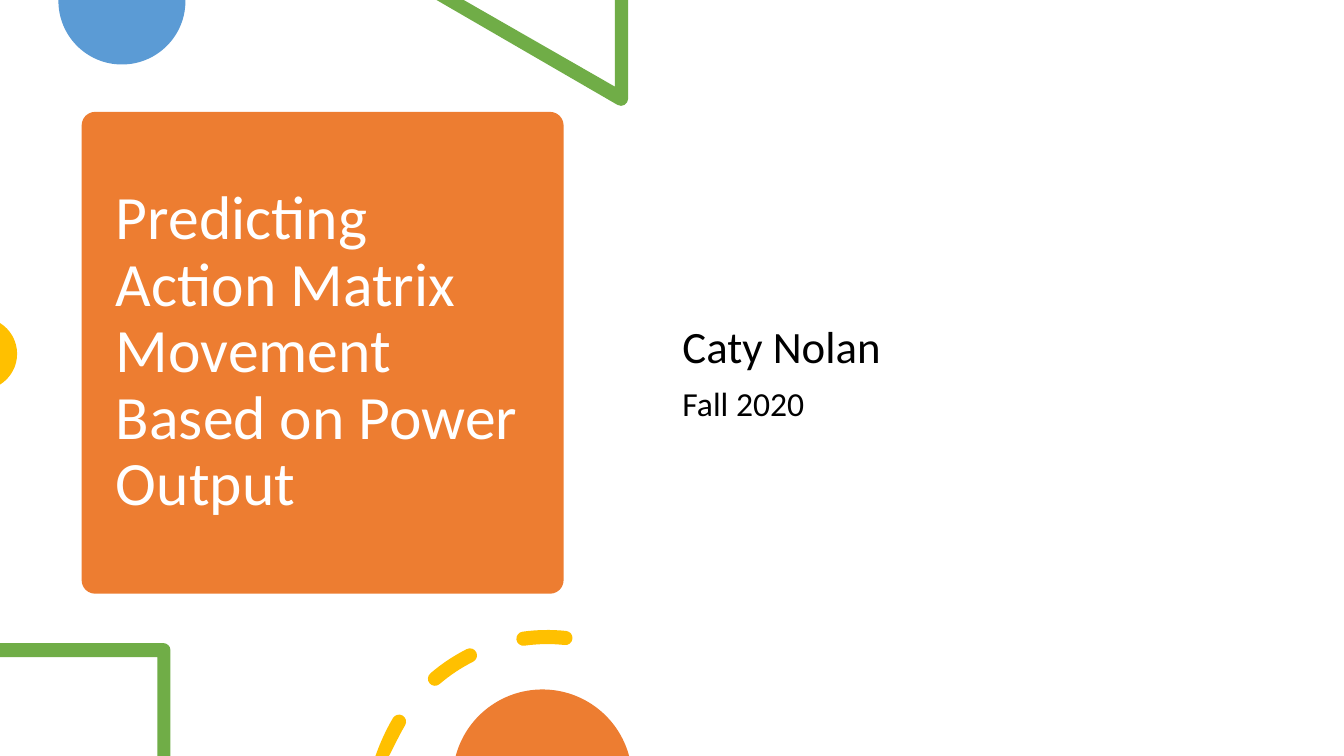
from dataclasses import dataclass
from math import acos, ceil, cos, degrees, radians, sin, tan

from lxml.etree import SubElement
from pptx import Presentation
from pptx.dml.color import RGBColor
from pptx.enum.shapes import MSO_SHAPE as Shape
from pptx.enum.text import MSO_ANCHOR as Anchor, MSO_AUTO_SIZE as AutoSize, PP_ALIGN as Align
from pptx.oxml.ns import qn
from pptx.util import Inches, Pt

WIDTH, HEIGHT = 13.33, 7.5
RIGHT, DOWN, UP = 0, 90, -90


@dataclass(frozen=True)
class Theme:
    font: str = "Calibri"
    orange: str = "ED7D31"
    blue: str = "5B9BD5"
    green: str = "70AD47"
    yellow: str = "FFC000"
    white: str = "FFFFFF"
    black: str = "000000"
    title_size: int = 44
    author_size: int = 32
    term_size: int = 24
    line_spacing: float = 0.9


def corners(*points):
    return [(x, y, False) for x, y in points]


def polar(center, radius, angle):
    return center[0] + radius * cos(radians(angle)), center[1] + radius * sin(radians(angle))


def arc(center, radius, start, end):
    pieces = max(1, ceil(round(abs(end - start) / 90, 1)))
    step = (end - start) / pieces
    reach = radius * 4 / 3 * tan(radians(step) / 4)
    points = corners(polar(center, radius, start))
    for i in range(pieces):
        first, last = start + step * i, start + step * (i + 1)
        leaving = polar(polar(center, radius, first), reach, first + 90)
        arriving = polar(polar(center, radius, last), -reach, last + 90)
        points += [(x, y, True) for x, y in (leaving, arriving, polar(center, radius, last))]
    return points


def cut_disc(center, radius, facing, edge_distance):
    half = degrees(acos(edge_distance / radius))
    return arc(center, radius, facing - half, facing + half)


def dash(center, radius, thickness, start, end):
    half = thickness / 2
    contour = arc(center, radius + half, start, end)
    contour += arc(polar(center, radius, end), half, end, end + 180)[1:]
    contour += arc(center, radius - half, end, start)[1:]
    contour += arc(polar(center, radius, start), half, start + 180, start + 360)[1:]
    return [(x, min(y, HEIGHT), curved) for x, y, curved in contour]


class SlideBuilder:
    def __init__(self, slide, theme):
        self.slide = slide
        self.theme = theme

    def paint(self, shape, color):
        shape.fill.solid()
        shape.fill.fore_color.rgb = RGBColor.from_string(color)
        shape.line.fill.background()
        shape.shadow.inherit = False

    def card(self, left, top, side, color, rounding):
        card = self.slide.shapes.add_shape(
            Shape.ROUNDED_RECTANGLE, *map(Inches, (left, top, side, side)))
        card.adjustments[0] = rounding
        self.paint(card, color)

    def outline(self, color, *contours):
        scaled = [[(Inches(x), Inches(y)) for x, y, curved in contour] for contour in contours]
        builder = self.slide.shapes.build_freeform(*scaled[0][0], scale=1.0)
        builder.add_line_segments(scaled[0][1:], close=True)
        for contour in scaled[1:]:
            builder.move_to(*contour[0])
            builder.add_line_segments(contour[1:], close=True)
        shape = builder.convert_to_shape()
        self.bend(shape, [curved for contour in contours for x, y, curved in contour[1:]])
        self.paint(shape, color)

    def bend(self, shape, curved_flags):
        segments = list(shape.element.iter(qn("a:lnTo")))
        curved = [segment for segment, flag in zip(segments, curved_flags) if flag]
        for triple in zip(curved[::3], curved[1::3], curved[2::3]):
            parent = triple[0].getparent()
            curve = SubElement(parent, qn("a:cubicBezTo"))
            parent.replace(triple[0], curve)
            for segment in triple:
                curve.append(segment[0])
            for segment in triple[1:]:
                parent.remove(segment)

    def run(self, paragraph, text, size, color):
        run = paragraph.add_run()
        run.text = text
        run.font.name = self.theme.font
        run.font.size = Pt(size)
        run.font.color.rgb = RGBColor.from_string(color)

    def paragraph(self, paragraph, space_before=0):
        paragraph.alignment = Align.LEFT
        paragraph.line_spacing = self.theme.line_spacing
        paragraph.space_before = Pt(space_before)
        return paragraph

    def frame(self, shape, anchor):
        frame = shape.text_frame
        frame.word_wrap = True
        frame.auto_size = AutoSize.NONE
        frame.vertical_anchor = anchor
        return frame

    def title(self, left, top, width, height, lines):
        title = self.slide.shapes.title
        title.left, title.top, title.width, title.height = map(
            Inches, (left, top, width, height))
        title.element.getparent().append(title.element)
        paragraph = self.paragraph(self.frame(title, Anchor.MIDDLE).paragraphs[0])
        for number, line in enumerate(lines):
            if number:
                paragraph.add_line_break()
            self.run(paragraph, line, self.theme.title_size, self.theme.white)

    def text(self, left, top, width, height, lines, gap, inset):
        box = self.slide.shapes.add_textbox(*map(Inches, (left, top, width, height)))
        frame = self.frame(box, Anchor.TOP)
        frame.margin_top = Inches(inset)
        for number, (line, size) in enumerate(lines):
            paragraph = frame.add_paragraph() if number else frame.paragraphs[0]
            self.paragraph(paragraph, gap if number else 0)
            self.run(paragraph, line, size, self.theme.black)


def main():
    deck = Presentation()
    deck.slide_width, deck.slide_height = Inches(WIDTH), Inches(HEIGHT)
    theme = Theme()
    cover = SlideBuilder(deck.slides.add_slide(deck.slide_layouts[5]), theme)

    cover.card(0.81, 1.11, 4.78, theme.orange, 0.028)
    cover.title(1.05, 1.22, 4.31, 4.56,
                ["Predicting", "Action Matrix Movement Based on Power Output"])

    cover.outline(theme.blue, cut_disc((1.21, 0.01), 0.63, DOWN, -0.01))
    triangle_tip = arc((6.16, 0.98), 0.07, 120, RIGHT)
    cover.outline(theme.green, corners(
        (6.23, 0), (6.1, 0), (6.1, 0.86), (4.6, 0), (4.33, 0)) + triangle_tip)
    cover.outline(theme.yellow, cut_disc((-0.19, 3.51), 0.36, RIGHT, 0.19))

    cover.text(6.67, 0.9, 5.75, 5.35,
               [("Caty Nolan", theme.author_size), ("Fall 2020", theme.term_size)], 10, 2.32)

    square_corner = arc((1.62, 6.45), 0.07, UP, RIGHT)
    cover.outline(theme.green, corners((0, 6.38)) + square_corner + corners(
        (1.69, HEIGHT), (1.56, HEIGHT), (1.56, 6.52), (0, 6.52)))

    first_dash, dash_step, dash_sweep = -84, 32.7, 14
    dash_starts = [first_dash - dash_step * i for i in range(3)]
    cover.outline(theme.yellow, *[
        dash((5.43, 8.03), 1.71, 0.14, start - dash_sweep, start) for start in dash_starts])
    cover.outline(theme.orange, cut_disc((5.38, 7.73), 0.89, UP, 0.23))

    deck.save("out.pptx")


main()
